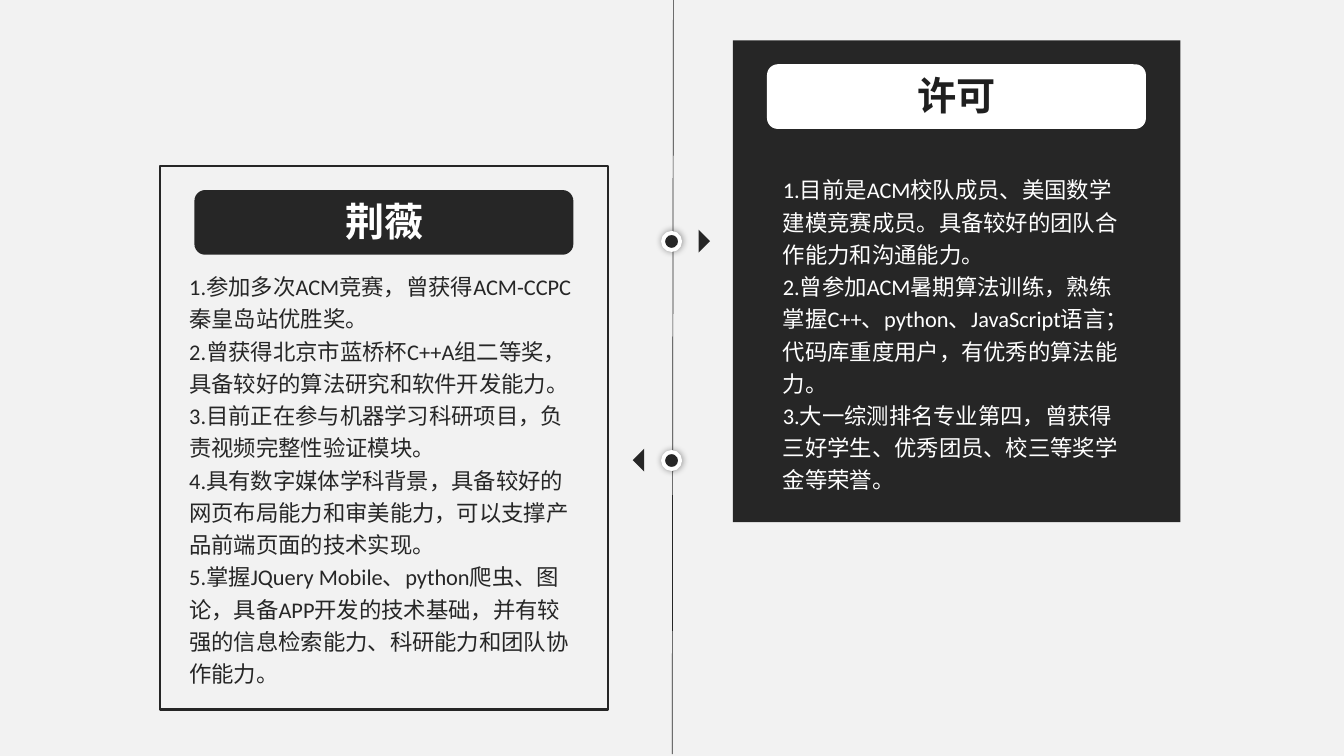
"""Build a two-person profile slide along a vertical timeline."""
from dataclasses import dataclass

from lxml import etree
from pptx import Presentation
from pptx.dml.color import RGBColor
from pptx.enum.shapes import MSO_CONNECTOR, MSO_SHAPE
from pptx.enum.text import MSO_AUTO_SIZE, PP_ALIGN
from pptx.oxml.ns import qn
from pptx.util import Cm, Pt

LINE = MSO_CONNECTOR.STRAIGHT
RECT = MSO_SHAPE.RECTANGLE
ROUND = MSO_SHAPE.ROUNDED_RECTANGLE
DOT = MSO_SHAPE.OVAL
WEDGE = MSO_SHAPE.RIGHT_TRIANGLE
CENTER = PP_ALIGN.CENTER
LEFT = PP_ALIGN.LEFT
GROW = MSO_AUTO_SIZE.SHAPE_TO_FIT_TEXT


@dataclass(frozen=True)
class Theme:
    paper: str = "F2F2F2"
    dark: str = "262626"
    ink: str = "1F1F1F"
    white: str = "FFFFFF"
    font: str = "Calibri"
    head: int = 28
    body: int = 16


THEME = Theme()

LEFT_TEXT = [
    "1.参加多次ACM竞赛，曾获得ACM-CCPC秦皇岛站优胜奖。",
    "2.曾获得北京市蓝桥杯C++A组二等奖，具备较好的算法研究和软件开发能力。",
    "3.目前正在参与机器学习科研项目，负责视频完整性验证模块。",
    "4.具有数字媒体学科背景，具备较好的网页布局能力和审美能力，可以支撑产品前端页面的技术实现。",
    "5.掌握JQuery Mobile、python爬虫、图论，具备APP开发的技术基础，"
    "并有较强的信息检索能力、科研能力和团队协作能力。",
]
RIGHT_TEXT = [
    "1.目前是ACM校队成员、美国数学建模竞赛成员。具备较好的团队合作能力和沟通能力。",
    "2.曾参加ACM暑期算法训练，熟练掌握C++、python、JavaScript语言；"
    "代码库重度用户，有优秀的算法能力。",
    "3.大一综测排名专业第四，曾获得三好学生、优秀团员、校三等奖学金等荣誉。",
]


def add_form(slide, kind, box, fill=None, edge=None, width=0):
    """Add a preset shape with an optional fill and outline."""
    form = slide.shapes.add_shape(kind, *map(Cm, box))
    form.shadow.inherit = False
    if fill:
        form.fill.solid()
        form.fill.fore_color.rgb = RGBColor.from_string(fill)
    else:
        form.fill.background()
    if edge:
        form.line.color.rgb = RGBColor.from_string(edge)
        form.line.width = Pt(width)
    else:
        form.line.fill.background()
    return form


def add_text(slide, box, lines, size, color, bold=False, align=LEFT, space=1.0):
    """Add a wrapped text box with one paragraph per line."""
    frame = slide.shapes.add_textbox(*map(Cm, box)).text_frame
    frame.word_wrap = True
    frame.auto_size = GROW
    frame.text = "\n".join(lines)
    for para in frame.paragraphs:
        para.alignment = align
        para.line_spacing = space
        para.font.name = THEME.font
        para.font.size = Pt(size)
        para.font.bold = bold
        para.font.color.rgb = RGBColor.from_string(color)


def add_axis(slide):
    """Add the thin timeline."""
    axis = slide.shapes.add_connector(LINE, Cm(16.97), Cm(0), Cm(16.94), Cm(19))
    axis.line.color.rgb = RGBColor.from_string(THEME.dark)
    axis.line.width = Pt(0.5)
    etree.SubElement(axis._element.spPr, qn("a:effectLst"))


def add_mark(slide, top, left, turn):
    """Add a glowing timeline dot and the arrow beside it."""
    dot = add_form(slide, DOT, (16.71, top, 0.43, 0.43), THEME.dark, THEME.white, 2.75)
    list_ = dot._element.spPr.find(qn("a:effectLst"))
    shade = etree.SubElement(list_, qn("a:outerShdw"), blurRad=str(Pt(5)), dist="0",
                             dir="0", algn="ctr", rotWithShape="0")
    tint = etree.SubElement(shade, qn("a:srgbClr"), val="000000")
    etree.SubElement(tint, qn("a:alpha"), val="40000")
    arrow = add_form(slide, WEDGE, (left, top, 0.41, 0.41), THEME.dark)
    arrow.rotation = turn


def add_card(slide, box, fill, edge, pill, name, ink):
    """Add a profile panel with its name on a rounded label."""
    left, top = box[:2]
    add_form(slide, RECT, box, fill, edge, 1.5)
    add_form(slide, ROUND, (left + 0.86, top + 0.6, 9.55, 1.63), pill)
    add_text(slide, (left + 3.18, top + 0.65, 4.93, 1.45), [name],
             THEME.head, ink, True, CENTER)


def main():
    """Build and save the slide."""
    deck = Presentation()
    deck.slide_width, deck.slide_height = Cm(33.87), Cm(19.05)
    slide = deck.slides.add_slide(deck.slide_layouts[6])
    slide.background.fill.solid()
    slide.background.fill.fore_color.rgb = RGBColor.from_string(THEME.paper)

    add_axis(slide)
    add_mark(slide, 5.87, 17.4, 225)
    add_mark(slide, 11.39, 16.03, 45)

    add_card(slide, (18.47, 1.02, 11.28, 12.14), THEME.dark, None,
             THEME.white, "许可", THEME.ink)
    add_text(slide, (19.48, 4.19, 9.25, 8.46), RIGHT_TEXT,
             THEME.body, THEME.white, space=1.2)

    add_card(slide, (4.04, 4.19, 11.28, 13.69), None, THEME.dark,
             THEME.dark, "荆薇", THEME.white)
    add_text(slide, (4.52, 6.63, 10.31, 10.9), LEFT_TEXT,
             THEME.body, THEME.dark, space=1.2)

    deck.save("out.pptx")


if __name__ == "__main__":
    main()
